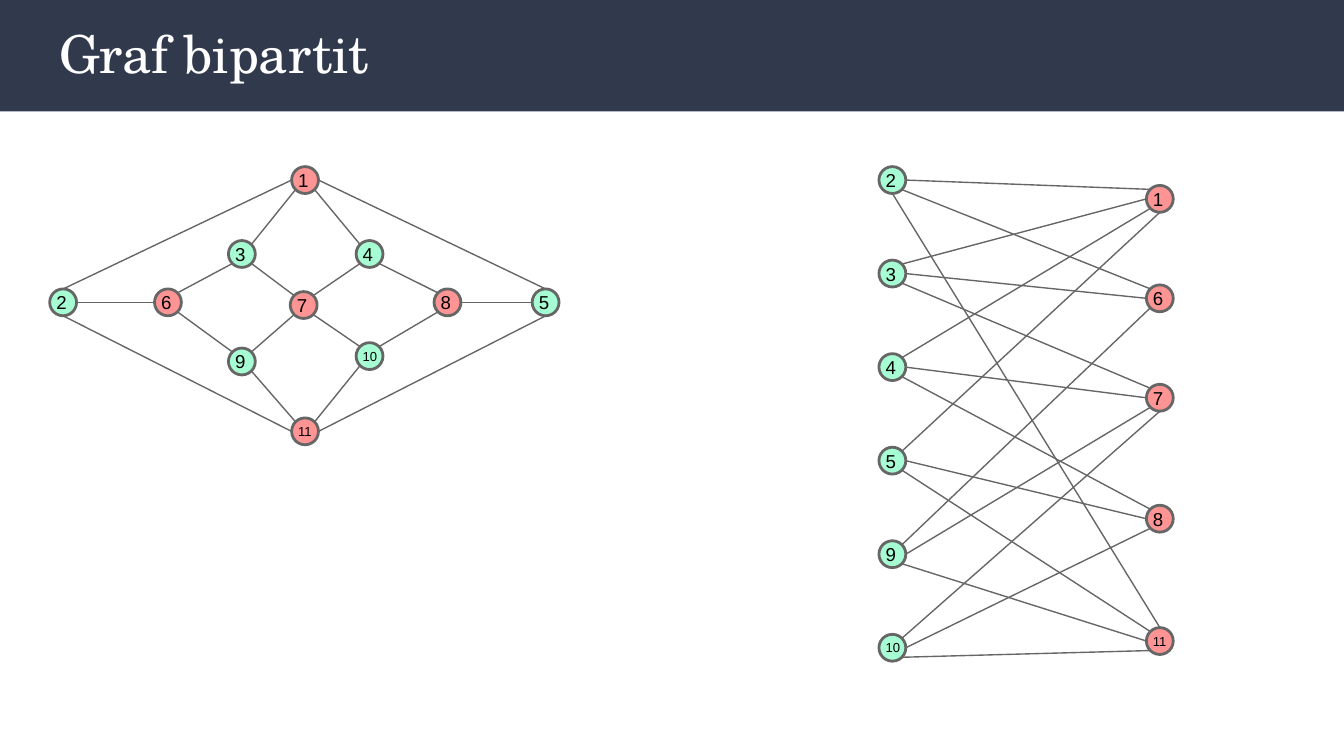
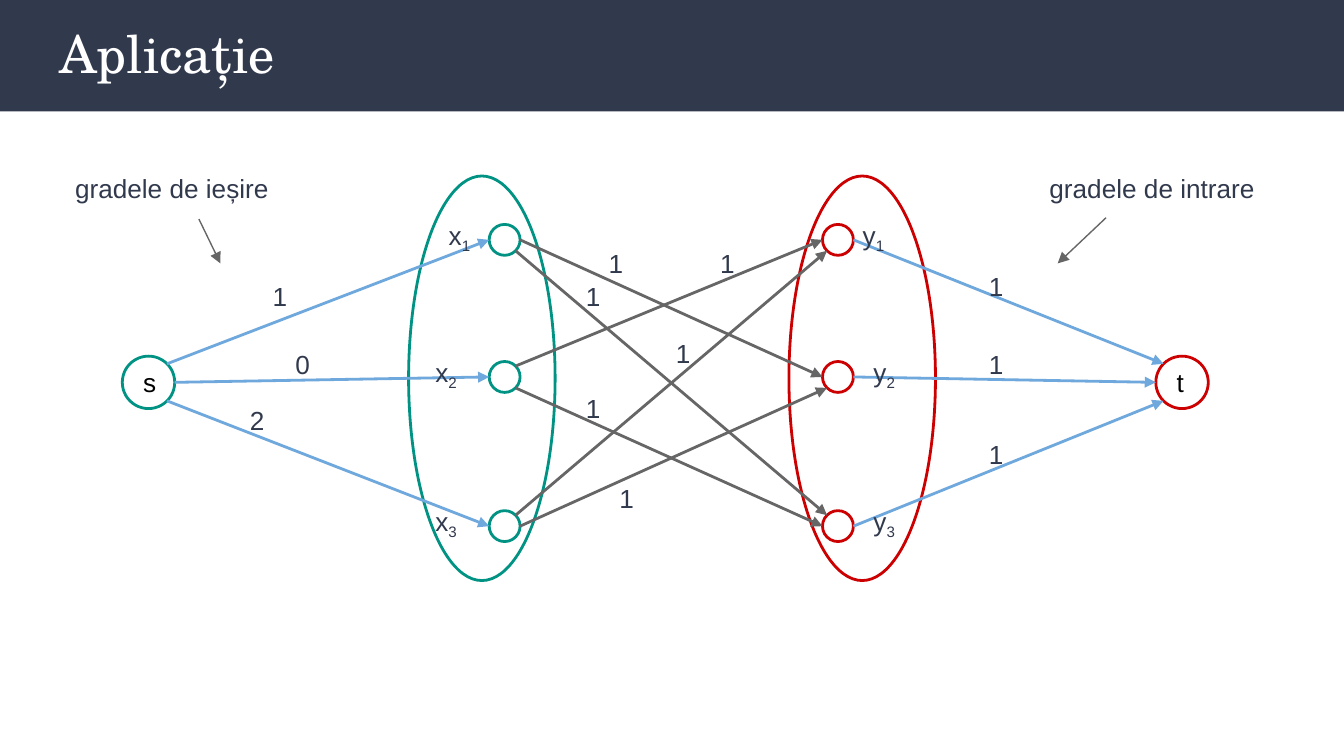
"""Builds two slides on bipartite graphs: a redrawn graph and a flow network."""
from dataclasses import dataclass
from math import cos, radians, sin

from lxml import etree
from pptx import Presentation
from pptx.dml.color import RGBColor
from pptx.enum.shapes import MSO_CONNECTOR, MSO_SHAPE
from pptx.enum.text import MSO_ANCHOR, MSO_AUTO_SIZE, PP_ALIGN
from pptx.oxml.ns import qn
from pptx.util import Inches, Pt

OVAL, RECTANGLE = MSO_SHAPE.OVAL, MSO_SHAPE.RECTANGLE
STRAIGHT = MSO_CONNECTOR.STRAIGHT
MIDDLE, TOP = MSO_ANCHOR.MIDDLE, MSO_ANCHOR.TOP
LEFT = PP_ALIGN.LEFT
GROW = MSO_AUTO_SIZE.SHAPE_TO_FIT_TEXT

SLIDE_WIDTH = 10
SLIDE_HEIGHT = SLIDE_WIDTH * 9 / 16
ANGLES = {name: radians(45 * step) for step, name in
          enumerate(("E", "SE", "S", "SW", "W", "NW", "N", "NE"))}


@dataclass(frozen=True)
class Theme:
    """Colours, fonts, type sizes and line widths of the slides."""
    navy: str = "31394D"
    white: str = "FFFFFF"
    black: str = "000000"
    grey: str = "666666"
    pink: str = "FF9494"
    mint: str = "A6FDD3"
    teal: str = "009384"
    red: str = "CC0000"
    blue: str = "6FA8DC"
    title_font: str = "TeX Gyre Schola"
    body_font: str = "Arial"
    title_size: float = 28
    label_size: float = 14
    node_size: float = 10
    small_node_size: float = 7
    thin: float = 0.75
    thick: float = 1.5


THEME = Theme()

NODE = 0.2
RED_NODES = (1, 6, 7, 8, 11)
GREEN_NODES = (2, 3, 4, 5, 9, 10)
PLANAR_PLACES = {
    1: (2.17, 1.24), 2: (0.37, 2.15), 3: (1.7, 1.79), 4: (2.65, 1.79),
    5: (3.96, 2.15), 6: (1.15, 2.15), 7: (2.16, 2.17), 8: (3.23, 2.15),
    9: (1.7, 2.59), 10: (2.65, 2.55), 11: (2.17, 3.11),
}
PLANAR_EDGES = (
    (1, "W", 2, "N"), (1, "E", 5, "N"), (2, "S", 11, "W"), (11, "E", 5, "S"),
    (1, "SW", 3, "NE"), (1, "SE", 4, "NW"), (2, "E", 6, "W"), (5, "W", 8, "E"),
    (3, "SE", 7, "NW"), (7, "NE", 4, "SW"), (6, "NE", 3, "SW"),
    (6, "SE", 9, "NW"), (9, "NE", 7, "SW"), (4, "SE", 8, "NW"),
    (10, "NE", 8, "SW"), (7, "SE", 10, "NW"), (9, "SE", 11, "NW"),
    (10, "SW", 11, "NE"),
)
RED_TOPS = (1.38, 2.12, 2.86, 3.76, 4.67)
GREEN_FIRST, GREEN_LAST = 1.24, 4.72
GREEN_STEP = (GREEN_LAST - GREEN_FIRST) / (len(GREEN_NODES) - 1)
COLUMN_PLACES = {
    **{node: (8.53, top) for node, top in zip(RED_NODES, RED_TOPS)},
    **{node: (6.54, GREEN_FIRST + GREEN_STEP * row)
       for row, node in enumerate(GREEN_NODES)},
}
COLUMN_EDGES = (
    (2, "E", 1, "NW"), (2, "SE", 6, "NW"), (2, "S", 11, "N"),
    (3, "NE", 1, "W"), (3, "E", 6, "W"), (3, "SE", 7, "NW"),
    (4, "NE", 1, "SW"), (4, "E", 7, "W"), (4, "SE", 8, "NW"),
    (5, "NE", 1, "S"), (5, "E", 8, "W"), (5, "SE", 11, "NW"),
    (9, "NE", 6, "SW"), (9, "E", 7, "SW"), (9, "SE", 11, "W"),
    (10, "NE", 7, "S"), (10, "E", 8, "SW"), (10, "SE", 11, "SW"),
)

VERTEX = 0.23
TERMINAL = 0.39
VERTEX_TOPS = (1.67, 2.69, 3.8)
MATCH_EDGES = (
    ("x1", "E", "y2", "W"), ("x1", "SE", "y3", "NW"), ("x2", "NE", "y1", "W"),
    ("x2", "SE", "y3", "W"), ("x3", "NE", "y1", "SW"), ("x3", "E", "y2", "SW"),
)
TERMINAL_EDGES = (
    ("s", "NE", "x1", "W"), ("s", "E", "x2", "W"), ("s", "SE", "x3", "W"),
    ("y1", "E", "t", "NW"), ("y2", "E", "t", "W"), ("y3", "E", "t", "SW"),
)
CAPTIONS = (("gradele de ieșire", 0.46), ("gradele de intrare", 7.71))
CAPTION_ARROWS = (((1.48, 1.63), (1.64, 1.96)), ((8.23, 1.62), (7.87, 1.96)))
CAPACITIES = (
    ("1", 1.93, 1.99), ("0", 2.1, 2.49), ("2", 1.76, 2.91),
    ("1", 7.26, 1.91), ("1", 7.26, 2.49), ("1", 7.26, 3.16),
    ("1", 4.43, 1.74), ("1", 4.26, 1.99), ("1", 5.26, 1.74),
    ("1", 4.93, 2.41), ("1", 4.51, 3.49), ("1", 4.26, 2.82),
)
VERTEX_NAMES = (
    ("x", "1", 3.24, 1.53), ("x", "2", 3.14, 2.55), ("x", "3", 3.14, 3.66),
    ("y", "1", 6.32, 1.53), ("y", "2", 6.4, 2.55), ("y", "3", 6.4, 3.66),
)


def rgb(colour):
    """Return the colour object for a hex string."""
    return RGBColor.from_string(colour)


def write_text(shape, text, *, size=THEME.label_size, font=THEME.body_font,
               colour=THEME.navy, anchor=TOP, insets=(0.1, 0.1, 0.1, 0.1),
               subscript=""):
    """Write one left-aligned paragraph, with an optional subscript."""
    frame = shape.text_frame
    frame.word_wrap = True
    frame.vertical_anchor = anchor
    (frame.margin_left, frame.margin_top,
     frame.margin_right, frame.margin_bottom) = map(Inches, insets)
    paragraph = frame.paragraphs[0]
    paragraph.alignment = LEFT
    for part, baseline in ((text, None), (subscript, "-25000")):
        if not part:
            continue
        run = paragraph.add_run()
        run.text = part
        run.font.size = Pt(size)
        run.font.name = font
        run.font.color.rgb = rgb(colour)
        if baseline:
            run.font._element.set("baseline", baseline)


def add_figure(shapes, kind, left, top, width, height, fill=None, outline=None):
    """Add a flat shape with an optional fill and outline."""
    figure = shapes.add_shape(kind, *map(Inches, (left, top, width, height)))
    figure.shadow.inherit = False
    if fill:
        figure.fill.solid()
        figure.fill.fore_color.rgb = rgb(fill)
    else:
        figure.fill.background()
    if outline:
        figure.line.color.rgb = rgb(outline)
        figure.line.width = Pt(THEME.thick)
    else:
        figure.line.fill.background()
    return figure


def add_label(shapes, text, left, top, width, **text_format):
    """Add a text box that grows with its text."""
    label = shapes.add_textbox(*map(Inches, (left, top, width, 0.44)))
    write_text(label, text, **text_format)
    label.text_frame.auto_size = GROW


def add_line(shapes, start, end, colour=THEME.grey, width=THEME.thin, arrow=False):
    """Add a straight line between two points, with an optional arrowhead."""
    line = shapes.add_connector(STRAIGHT, *start, *end)
    line.line.color.rgb = rgb(colour)
    line.line.width = Pt(width)
    properties = line.element.spPr
    if arrow:
        etree.SubElement(properties.find(qn("a:ln")), qn("a:tailEnd"), type="triangle")
    etree.SubElement(properties, qn("a:effectLst"))


def rim_point(circle, side):
    """Return the point of a circle's rim in a compass direction."""
    radius = circle.width / 2
    angle = ANGLES[side]
    return (round(circle.left + radius * (1 + cos(angle))),
            round(circle.top + radius * (1 + sin(angle))))


def add_edges(shapes, circles, edges, **line_format):
    """Join circles along a list of edges."""
    for source, source_side, target, target_side in edges:
        add_line(shapes, rim_point(circles[source], source_side),
                 rim_point(circles[target], target_side), **line_format)


def add_graph(slide, places, edges):
    """Add a grouped graph of numbered nodes and plain edges."""
    shapes = slide.shapes.add_group_shape().shapes
    nodes = {}
    for number, (left, top) in sorted(places.items()):
        fill = THEME.pink if number in RED_NODES else THEME.mint
        nodes[number] = add_figure(shapes, OVAL, left, top, NODE, NODE,
                                   fill, THEME.grey)
        size = THEME.node_size if number < 10 else THEME.small_node_size
        write_text(nodes[number], str(number), size=size, colour=THEME.black,
                   anchor=MIDDLE, insets=(0.02, 0, 0, 0))
    add_edges(shapes, nodes, edges)


def add_titled_slide(deck, heading):
    """Add a slide with the navy band and its title."""
    slide = deck.slides.add_slide(deck.slide_layouts[5])
    title = slide.shapes.title
    title.left, title.top, title.width, title.height = map(
        Inches, (0.34, 0.06, 9.32, 0.68))
    write_text(title, heading, size=THEME.title_size, font=THEME.title_font,
               colour=THEME.white)
    band = add_figure(slide.shapes, RECTANGLE, 0, 0, SLIDE_WIDTH, 0.83, THEME.navy)
    title.element.addprevious(band.element)
    return slide


def build_bipartite_slide(deck):
    """Show one graph twice: planar, and split into two columns."""
    slide = add_titled_slide(deck, "Graf bipartit")
    add_graph(slide, PLANAR_PLACES, PLANAR_EDGES)
    add_graph(slide, COLUMN_PLACES, COLUMN_EDGES)


def build_network_slide(deck):
    """Show the flow network between source and sink."""
    shapes = add_titled_slide(deck, "Aplicație").shapes
    circles = {}
    sides = (("x", 3.04, 3.64, "s", 0.91, THEME.teal),
             ("y", 5.87, 6.12, "t", 8.6, THEME.red))
    for name, set_left, vertex_left, terminal, terminal_left, colour in sides:
        add_figure(shapes, OVAL, set_left, 1.31, 1.09, 3.01, outline=colour)
        for index, top in enumerate(VERTEX_TOPS, 1):
            circles[f"{name}{index}"] = add_figure(
                shapes, OVAL, vertex_left, top, VERTEX, VERTEX, outline=colour)
        circles[terminal] = add_figure(shapes, OVAL, terminal_left, 2.65,
                                       TERMINAL, TERMINAL, outline=colour)
        write_text(circles[terminal], terminal, colour=THEME.black, anchor=MIDDLE)

    add_edges(shapes, circles, MATCH_EDGES, width=THEME.thick, arrow=True)
    add_edges(shapes, circles, TERMINAL_EDGES, colour=THEME.blue,
              width=THEME.thick, arrow=True)

    for caption, left in CAPTIONS:
        add_label(shapes, caption, left, 1.18, 1.99)
    for start, end in CAPTION_ARROWS:
        add_line(shapes, map(Inches, start), map(Inches, end), arrow=True)
    for capacity, left, top in CAPACITIES:
        add_label(shapes, capacity, left, top, 0.39)
    for name, index, left, top in VERTEX_NAMES:
        add_label(shapes, name, left, top, 0.52, subscript=index)


def main():
    """Build and save the deck."""
    deck = Presentation()
    deck.slide_width, deck.slide_height = Inches(SLIDE_WIDTH), Inches(SLIDE_HEIGHT)
    build_bipartite_slide(deck)
    build_network_slide(deck)
    deck.save("out.pptx")


if __name__ == "__main__":
    main()
